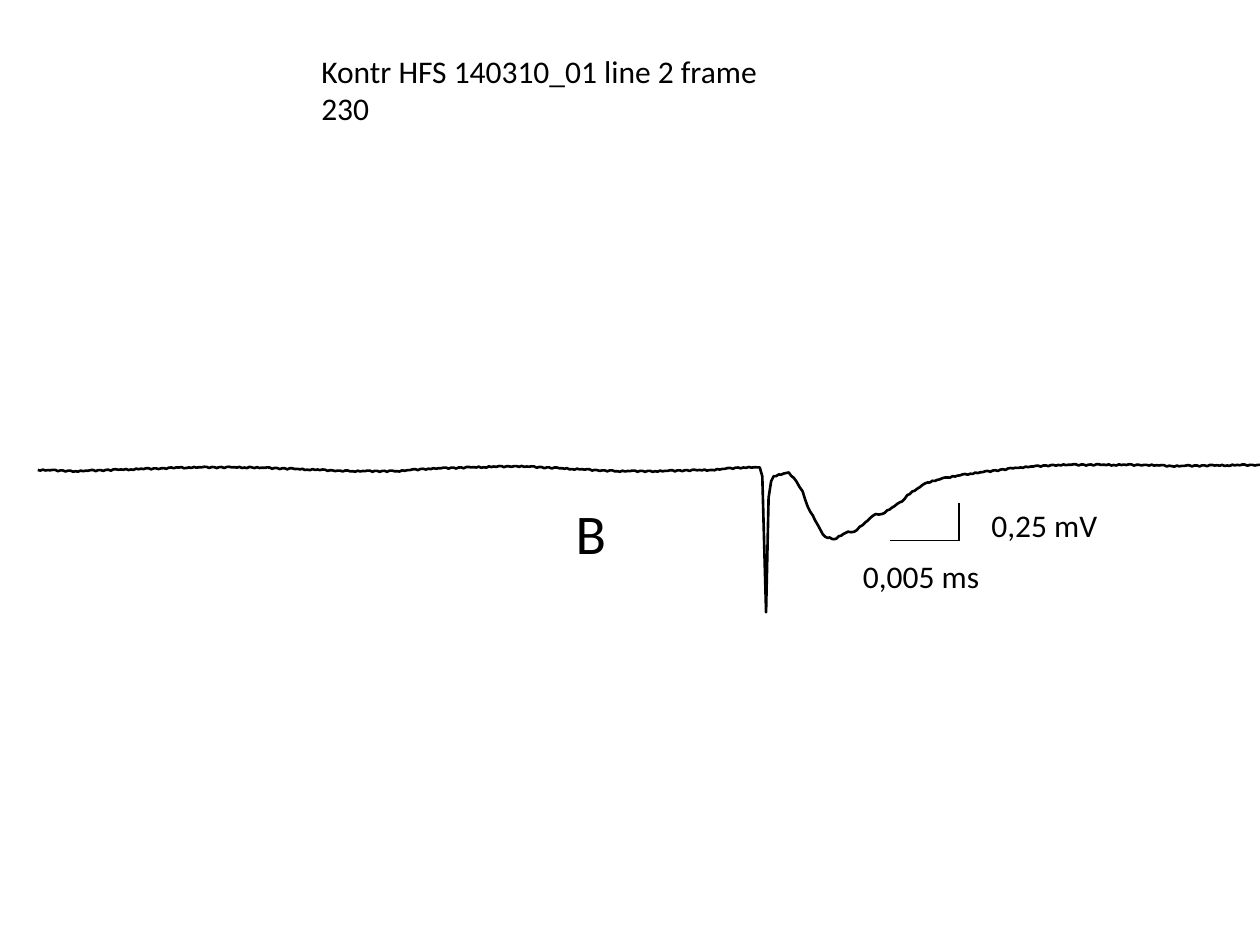
import math

from dataclasses import dataclass
from itertools import pairwise

from lxml import etree
from pptx import Presentation
from pptx.dml.color import RGBColor
from pptx.enum.shapes import MSO_CONNECTOR
from pptx.enum.text import MSO_ANCHOR, MSO_AUTO_SIZE, PP_ALIGN
from pptx.oxml.ns import qn
from pptx.util import Inches, Pt

STRAIGHT = MSO_CONNECTOR.STRAIGHT
TOP = MSO_ANCHOR.TOP
LEFT = PP_ALIGN.LEFT
FIT_SHAPE = MSO_AUTO_SIZE.SHAPE_TO_FIT_TEXT
TITLE_ONLY = 5


@dataclass(frozen=True)
class Theme:
    font: str = "Calibri"
    ink: RGBColor = RGBColor(0, 0, 0)
    body_size: int = 18
    panel_size: int = 32
    trace_width: float = 1.5
    scale_width: float = 1


THEME = Theme()

SAMPLE_STEP = 0.02
NOISE = 0.005
BASELINE = [(0.3, 3.73), (0.6, 3.74), (1.5, 3.71), (2.0, 3.71), (2.8, 3.74),
            (3.15, 3.74), (3.4, 3.72), (4.1, 3.7), (4.9, 3.74), (5.2, 3.74),
            (5.65, 3.73), (5.9, 3.71)]
RESPONSE = [(6.03, 3.71), (6.05, 3.78), (6.08, 4.86), (6.1, 3.95), (6.12, 3.82),
            (6.14, 3.78), (6.26, 3.75), (6.32, 3.82), (6.37, 3.9), (6.41, 4.02),
            (6.53, 4.24), (6.55, 4.26), (6.62, 4.28), (6.73, 4.22), (6.78, 4.22),
            (6.95, 4.08), (7.0, 4.08), (7.16, 3.98), (7.2, 3.93), (7.36, 3.83)]
RECOVERY = [(7.52, 3.79), (7.7, 3.76), (8.1, 3.71), (8.4, 3.69), (9.1, 3.69),
            (9.3, 3.7), (9.98, 3.69), (10.07, 3.67), (10.29, 3.67)]


def write_text(box, text, size):
    frame = box.text_frame
    frame.word_wrap = True
    frame.vertical_anchor = TOP
    frame.auto_size = FIT_SHAPE
    para = frame.paragraphs[0]
    para.alignment = LEFT
    span = para.add_run()
    span.text = text
    span.font.name = THEME.font
    span.font.size = Pt(size)
    span.font.color.rgb = THEME.ink


def add_title(page, text, left, top, width, height):
    title = page.shapes.title
    title.left, title.top = Inches(left), Inches(top)
    title.width, title.height = Inches(width), Inches(height)
    write_text(title, text, THEME.body_size)


def add_label(shapes, text, left, top, width, height, size=THEME.body_size):
    box = shapes.add_textbox(Inches(left), Inches(top), Inches(width), Inches(height))
    write_text(box, text, size)


def add_line(shapes, start, end):
    line = shapes.add_connector(STRAIGHT, *map(Inches, start + end))
    line.line.color.rgb = THEME.ink
    line.line.width = Pt(THEME.scale_width)
    etree.SubElement(line._element.spPr, qn("a:effectLst"))


def noisy_samples(knots):
    samples = [knots[0]]
    for (left, start), (right, end) in pairwise(knots):
        count = max(1, round((right - left) / SAMPLE_STEP))
        for index in range(1, count + 1):
            share = index / count
            noise = NOISE * math.sin(index * index) if index < count else 0
            samples.append((left + share * (right - left), start + share * (end - start) + noise))
    return samples


def add_trace(page):
    samples = noisy_samples(BASELINE + RESPONSE + RECOVERY)
    points = [(Inches(x), Inches(y)) for x, y in samples]
    builder = page.shapes.build_freeform(*points[0])
    builder.add_line_segments(points[1:], close=False)
    trace = builder.convert_to_shape()
    trace.shadow.inherit = False
    trace.fill.background()
    trace.line.color.rgb = THEME.ink
    trace.line.width = Pt(THEME.trace_width)


def add_scale_bar(page):
    shapes = page.shapes.add_group_shape().shapes
    corner = (7.61, 4.29)
    add_line(shapes, (7.61, 3.99), corner)
    add_line(shapes, (7.06, 4.29), corner)
    add_label(shapes, "0,005 ms", 6.75, 4.37, 1.18, 0.4)
    add_label(shapes, "0,25 mV", 7.77, 3.97, 1.16, 0.4)


def main():
    deck = Presentation()
    deck.slide_width, deck.slide_height = Inches(10), Inches(7.5)
    page = deck.slides.add_slide(deck.slide_layouts[TITLE_ONLY])
    add_title(page, "Kontr HFS 140310_01 line 2 frame 230", 2.45, 0.36, 4.06, 0.71)
    add_trace(page)
    add_label(page.shapes, "B", 4.47, 3.91, 1.23, 0.64, THEME.panel_size)
    add_scale_bar(page)
    deck.save("out.pptx")


if __name__ == "__main__":
    main()
